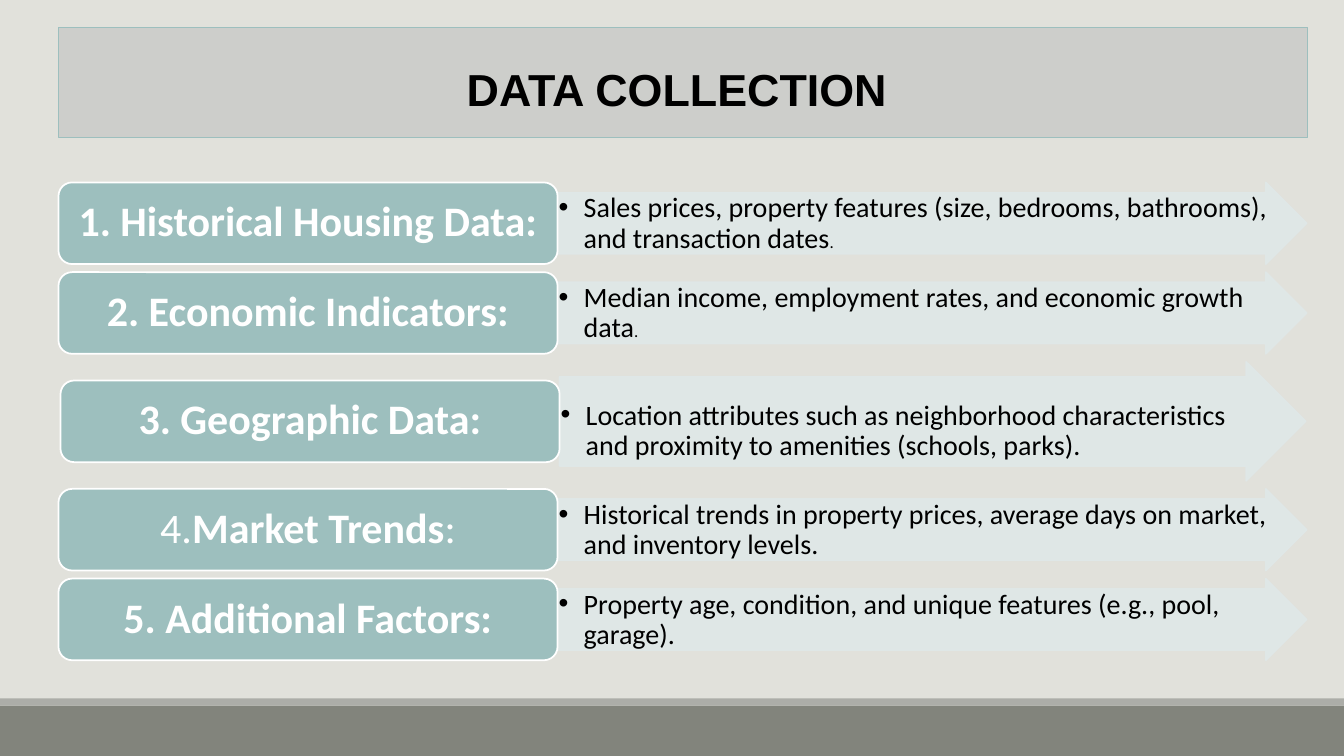
from pptx import Presentation
from pptx.dml.color import RGBColor
from pptx.enum.shapes import MSO_SHAPE
from pptx.enum.text import MSO_ANCHOR, MSO_AUTO_SIZE, PP_ALIGN
from pptx.oxml.ns import qn
from pptx.util import Inches, Pt
from lxml.etree import SubElement

TEAL, PALE, WHITE, BLACK = "9DBFBE", "DFE8E8", "FFFFFF", "000000"
LEFT, TOP, GAP = 0.58, 1.81, 0.08
LABEL_W, LABEL_H, ARROW_W = 4.95, 0.81, 7.43
BOLD, PLAIN, SMALL = {"bold": True}, {}, {"size": 12}

# label runs, detail runs, arrow height, shift to the right, top inset
ROWS = [
    ([("1. Historical Housing Data:", BOLD)],
     [("Sales prices, property features (size, bedrooms, bathrooms), "
       "and transaction dates", PLAIN), (".", SMALL)], 0.81, 0, 0.01),
    ([("2. Economic Indicators:", BOLD)],
     [("Median income, employment rates, and economic growth data", PLAIN),
      (".", SMALL)], 0.81, 0, 0.01),
    ([("3. Geographic Data:", BOLD)],
     [("Location attributes such as neighborhood characteristics "
       "and proximity to amenities (schools, parks).", PLAIN)],
     1.18, 0.02, 0.24),
    ([("4.", PLAIN), ("Market Trends", BOLD), (":", PLAIN)],
     [("Historical trends in property prices, average days on market, "
       "and inventory levels.", PLAIN)], 0.81, 0, 0.01),
    ([("5. Additional Factors:", BOLD)],
     [("Property age, condition, and unique features "
       "(e.g., pool, garage).", PLAIN)], 0.81, 0, 0.01),
]


def paint(fill, color, alpha=None):
    fill.solid()
    fill.fore_color.rgb = RGBColor.from_string(color)
    if alpha:
        tint = fill._xPr.find(qn("a:solidFill"))[0]
        SubElement(tint, qn("a:alpha"), val=str(alpha * 1000))


def style(shape, fill, line=None, width=1.25, alpha=None):
    paint(shape.fill, fill, alpha)
    if line:
        shape.line.width = Pt(width)
        paint(shape.line.fill, line, alpha)
    else:
        shape.line.fill.background()


def add_box(slide, kind, x, y, w, h, fill, **look):
    box = slide.shapes.add_shape(
        kind, Inches(x), Inches(y), Inches(w), Inches(h))
    box.shadow.inherit = False
    style(box, fill, **look)
    return box


def write(shape, runs, size=20, color=BLACK, font="Calibri", spacing=0.9,
          align=PP_ALIGN.CENTER, anchor=MSO_ANCHOR.MIDDLE,
          inset=(0.12, 0.06, 0.12, 0.06), bullet=False):
    """Fill a shape with one paragraph; inset is left, top, right, bottom."""
    frame = shape.text_frame
    frame.word_wrap = True
    frame.auto_size = MSO_AUTO_SIZE.NONE
    frame.vertical_anchor = anchor
    (frame.margin_left, frame.margin_top,
     frame.margin_right, frame.margin_bottom) = map(Inches, inset)
    para = frame.paragraphs[0]
    para.alignment = align
    para.line_spacing = spacing
    if bullet:
        props = para._p.get_or_add_pPr()
        props.set("marL", str(Inches(0.25)))
        props.set("indent", str(Inches(-0.25)))
        SubElement(props, qn("a:buFont"), typeface="Arial")
        SubElement(props, qn("a:buChar"), char="•")
    for text, form in runs:
        run = para.add_run()
        run.text = text
        run.font.name = font
        run.font.size = Pt(form.get("size", size))
        run.font.bold = form.get("bold", False)
        run.font.color.rgb = RGBColor.from_string(color)


def add_title(slide):
    title = slide.shapes.title
    title.left, title.top = Inches(LEFT), Inches(0.27)
    title.width, title.height = Inches(12.39), Inches(1.09)
    style(title, "CDCECB", line=TEAL, width=0.75)
    write(title, [("DATA COLLECTION ", BOLD)], size=32, font="Arial",
          spacing=1.0, inset=(0.1, 0.17, 0.1, 0.05))


def add_row(slide, y, label, detail, high, shift, top):
    x = LEFT + shift
    arrow = add_box(slide, MSO_SHAPE.RIGHT_ARROW, x + LABEL_W, y,
                    ARROW_W - 1.5 * shift, high, PALE, line=PALE, alpha=90)
    arrow.adjustments[0], arrow.adjustments[1] = 0.75, 0.5
    write(arrow, detail, align=PP_ALIGN.LEFT, anchor=MSO_ANCHOR.TOP,
          inset=(0.01, top, 0.01, 0.01), bullet=True)
    tab = add_box(slide, MSO_SHAPE.ROUNDED_RECTANGLE, x,
                  y + (high - LABEL_H) / 2, LABEL_W, LABEL_H, TEAL, line=WHITE)
    write(tab, label, size=30, color=WHITE)


def main():
    deck = Presentation()
    deck.slide_width, deck.slide_height = Inches(13.33), Inches(7.5)
    slide = deck.slides.add_slide(deck.slide_layouts[5])
    paint(slide.background.fill, "E1E1DB")
    add_box(slide, MSO_SHAPE.RECTANGLE, 0, 7, 13.33, 0.5, "82847C")
    add_box(slide, MSO_SHAPE.RECTANGLE, 0, 6.93, 13.33, 0.07, "ACADA8")
    add_title(slide)
    y = TOP
    for label, detail, high, shift, top in ROWS:
        add_row(slide, y, label, detail, high, shift, top)
        y += high + GAP
    deck.save("out.pptx")


if __name__ == "__main__":
    main()
